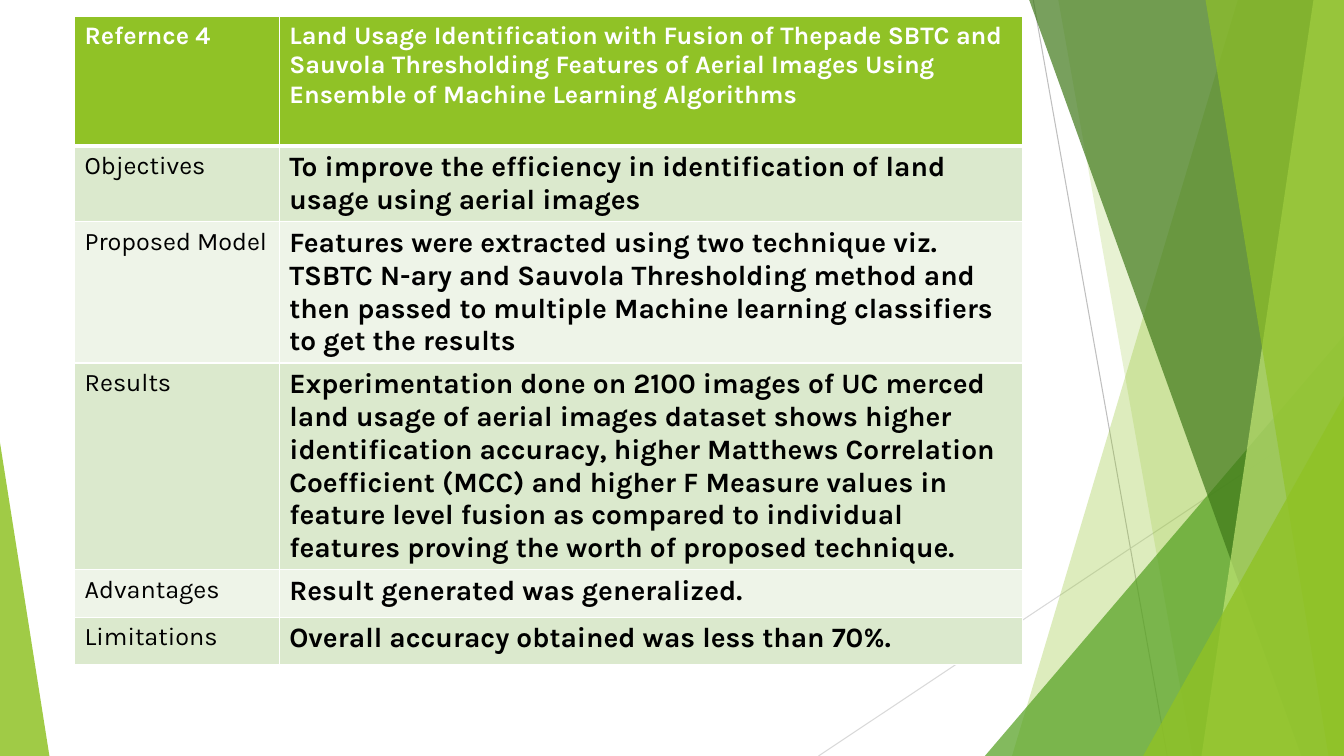
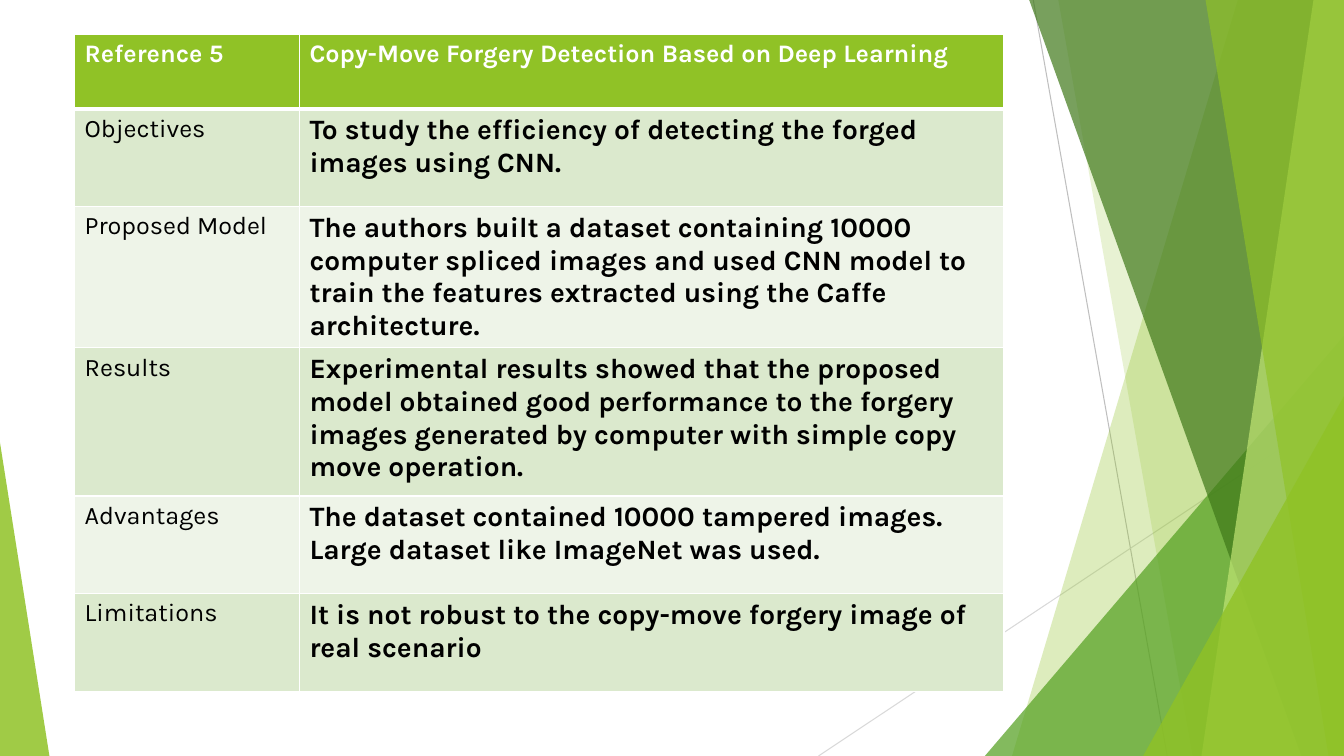
from dataclasses import dataclass

from lxml.etree import SubElement
from pptx import Presentation
from pptx.dml.color import RGBColor
from pptx.enum.shapes import MSO_CONNECTOR, MSO_SHAPE
from pptx.oxml.ns import qn
from pptx.shapes.autoshape import Shape
from pptx.slide import Slide
from pptx.table import _Cell
from pptx.util import Inches, Length, Pt

SLIDE_WIDTH, SLIDE_HEIGHT = Inches(13.333), Inches(7.5)
FONT_NAME = "Karla"
TABLE_LEFT = 5.55

WHITE = RGBColor(0xFF, 0xFF, 0xFF)
BLACK = RGBColor(0x00, 0x00, 0x00)
LIME = RGBColor(0x90, 0xC2, 0x26)
PALE_LIME = RGBColor(0xC0, 0xE4, 0x74)
GREEN = RGBColor(0x54, 0xA0, 0x21)
DARK_GREEN = RGBColor(0x3F, 0x78, 0x19)
ROW_TINT = RGBColor(0xDB, 0xE9, 0xCD)
ROW_LIGHT = RGBColor(0xEE, 0xF4, 0xE8)
GREY = RGBColor(0xBF, 0xBF, 0xBF)
LIGHT_GREY = RGBColor(0xD9, 0xD9, 0xD9)


# All positions and sizes are percentages of the slide's width or height.
def across(percent: float) -> Length:
    return Length(round(SLIDE_WIDTH * percent / 100))


def down(percent: float) -> Length:
    return Length(round(SLIDE_HEIGHT * percent / 100))


@dataclass(frozen=True)
class Ray:
    start: tuple[float, float]
    end: tuple[float, float]
    color: RGBColor


@dataclass(frozen=True)
class Band:
    """Full-height band with a slanted left edge, reaching the right side."""
    top_left: float
    bottom_left: float
    color: RGBColor
    opacity: int


@dataclass(frozen=True)
class Corner:
    """Right triangle standing on the bottom edge; apex is 0 (left) or 1 (right)."""
    left: float
    top: float
    width: float
    apex: int
    color: RGBColor
    opacity: int


@dataclass(frozen=True)
class Review:
    top: float
    column_widths: tuple[float, float]
    row_heights: tuple[float, ...]
    heading: tuple[str, str]
    findings: tuple[str, ...]


RAYS = (
    Ray((76.88, 0), (86.85, 100), GREY),
    Ray((100, 53.73), (60.9, 100), LIGHT_GREY),
)
# Back to front
FACETS: tuple[Band | Corner, ...] = (
    Band(92.1, 75.3, LIME, 30),
    Band(78.75, 88.73, LIME, 20),
    Corner(73.28, 44.4, 26.72, 1, GREEN, 72),
    Band(76.58, 96.83, DARK_GREEN, 70),
    Band(97.73, 89.4, PALE_LIME, 70),
    Band(89.7, 98.85, LIME, 65),
    Corner(85.05, 52.4, 14.95, 1, LIME, 80),
    Corner(0, 58.53, 3.68, 0, LIME, 85),
)
ROW_LABELS = ("Objectives", "Proposed Model", "Results", "Advantages", "Limitations")
REVIEWS = (
    Review(
        2.13, (15.23, 55.28), (17.2, 9.6, 17.87, 26.27, 6.27, 6.27),
        ("Refernce 4",
         "Land Usage Identification with Fusion of Thepade SBTC and Sauvola "
         "Thresholding Features of Aerial Images Using Ensemble of Machine "
         "Learning Algorithms"),
        ("To improve the efficiency in identification of land usage using aerial images",
         "Features were extracted using two technique viz. TSBTC N-ary and Sauvola "
         "Thresholding method and then passed to multiple Machine learning "
         "classifiers to get the results",
         "Experimentation done on 2100 images of UC merced land usage of aerial "
         "images dataset shows higher identification accuracy, higher Matthews "
         "Correlation Coefficient (MCC) and higher F Measure values in feature level "
         "fusion as compared to individual features proving the worth of proposed "
         "technique.",
         "Result generated was generalized.",
         "Overall accuracy obtained was less than 70%."),
    ),
    Review(
        4.53, (16.73, 52.43), (9.87, 12.93, 16, 19.6, 12.93, 12.93),
        ("Reference 5", "Copy-Move Forgery Detection Based on Deep Learning"),
        ("To study the efficiency of detecting the forged images using CNN.",
         "The authors built a dataset containing 10000 computer spliced images and "
         "used CNN model to train the features extracted using the Caffe architecture.",
         "Experimental results showed that the proposed model obtained good "
         "performance to the forgery images generated by computer with simple copy "
         "move operation.",
         "The dataset contained 10000 tampered images. Large dataset like ImageNet "
         "was used.",
         "It is not robust to the copy-move forgery image of real scenario"),
    ),
)


# Shared backdrop
def draw_ray(slide: Slide, ray: Ray) -> None:
    connector = slide.shapes.add_connector(
        MSO_CONNECTOR.STRAIGHT,
        across(ray.start[0]), down(ray.start[1]), across(ray.end[0]), down(ray.end[1]),
    )
    connector.line.color.rgb = ray.color
    connector.line.width = Pt(0.75)
    SubElement(connector._element.spPr, qn("a:effectLst"))


def add_band(slide: Slide, band: Band) -> Shape:
    builder = slide.shapes.build_freeform(across(band.top_left), 0)
    builder.add_line_segments([
        (SLIDE_WIDTH, 0),
        (SLIDE_WIDTH, SLIDE_HEIGHT),
        (across(band.bottom_left), SLIDE_HEIGHT),
    ])
    return builder.convert_to_shape()


def add_corner(slide: Slide, corner: Corner) -> Shape:
    shape = slide.shapes.add_shape(
        MSO_SHAPE.ISOSCELES_TRIANGLE, across(corner.left), down(corner.top),
        across(corner.width), down(100 - corner.top),
    )
    shape.adjustments[0] = corner.apex
    return shape


def draw_facet(slide: Slide, facet: Band | Corner) -> None:
    shape = add_band(slide, facet) if isinstance(facet, Band) else add_corner(slide, facet)
    shape.shadow.inherit = False
    shape.line.fill.background()
    shape.fill.solid()
    shape.fill.fore_color.rgb = facet.color
    color = shape._element.spPr.find(qn("a:solidFill"))[0]
    SubElement(color, qn("a:alpha"), val=str(facet.opacity * 1000))


def draw_backdrop(slide: Slide) -> None:
    for ray in RAYS:
        draw_ray(slide, ray)
    for facet in FACETS:
        draw_facet(slide, facet)


# Review table
def set_borders(cell: _Cell, top: float, bottom: float) -> None:
    properties = cell._tc.get_or_add_tcPr()
    for side, width in (("L", 1), ("R", 1), ("T", top), ("B", bottom)):
        line = SubElement(properties, qn(f"a:ln{side}"), w=str(Pt(width)))
        fill = SubElement(line, qn("a:solidFill"))
        SubElement(fill, qn("a:srgbClr"), val=str(WHITE))


def fill_cell(cell: _Cell, text: str, row: int, column: int) -> None:
    is_heading = row == 0
    set_borders(cell, top=3 if row == 1 else 1, bottom=3 if is_heading else 1)
    cell.fill.solid()
    cell.fill.fore_color.rgb = LIME if is_heading else (ROW_LIGHT, ROW_TINT)[row % 2]
    cell.text = text
    font = cell.text_frame.paragraphs[0].font
    font.name = FONT_NAME
    font.size = Pt(18 if is_heading or column == 0 else 20)
    font.bold = is_heading or column == 1
    font.color.rgb = WHITE if is_heading else BLACK


def draw_review(slide: Slide, review: Review) -> None:
    rows = (review.heading, *zip(ROW_LABELS, review.findings))
    table = slide.shapes.add_table(
        len(rows), len(review.column_widths), across(TABLE_LEFT), down(review.top),
        across(sum(review.column_widths)), down(sum(review.row_heights)),
    ).table
    for column, width in zip(table.columns, review.column_widths):
        column.width = across(width)
    for row, height in zip(table.rows, review.row_heights):
        row.height = down(height)
    for row_index, texts in enumerate(rows):
        for column_index, text in enumerate(texts):
            fill_cell(table.cell(row_index, column_index), text, row_index, column_index)


def main() -> None:
    presentation = Presentation()
    presentation.slide_width, presentation.slide_height = SLIDE_WIDTH, SLIDE_HEIGHT
    blank_layout = presentation.slide_layouts[6]
    for review in REVIEWS:
        slide = presentation.slides.add_slide(blank_layout)
        draw_backdrop(slide)
        draw_review(slide, review)
    presentation.save("out.pptx")


if __name__ == "__main__":
    main()
